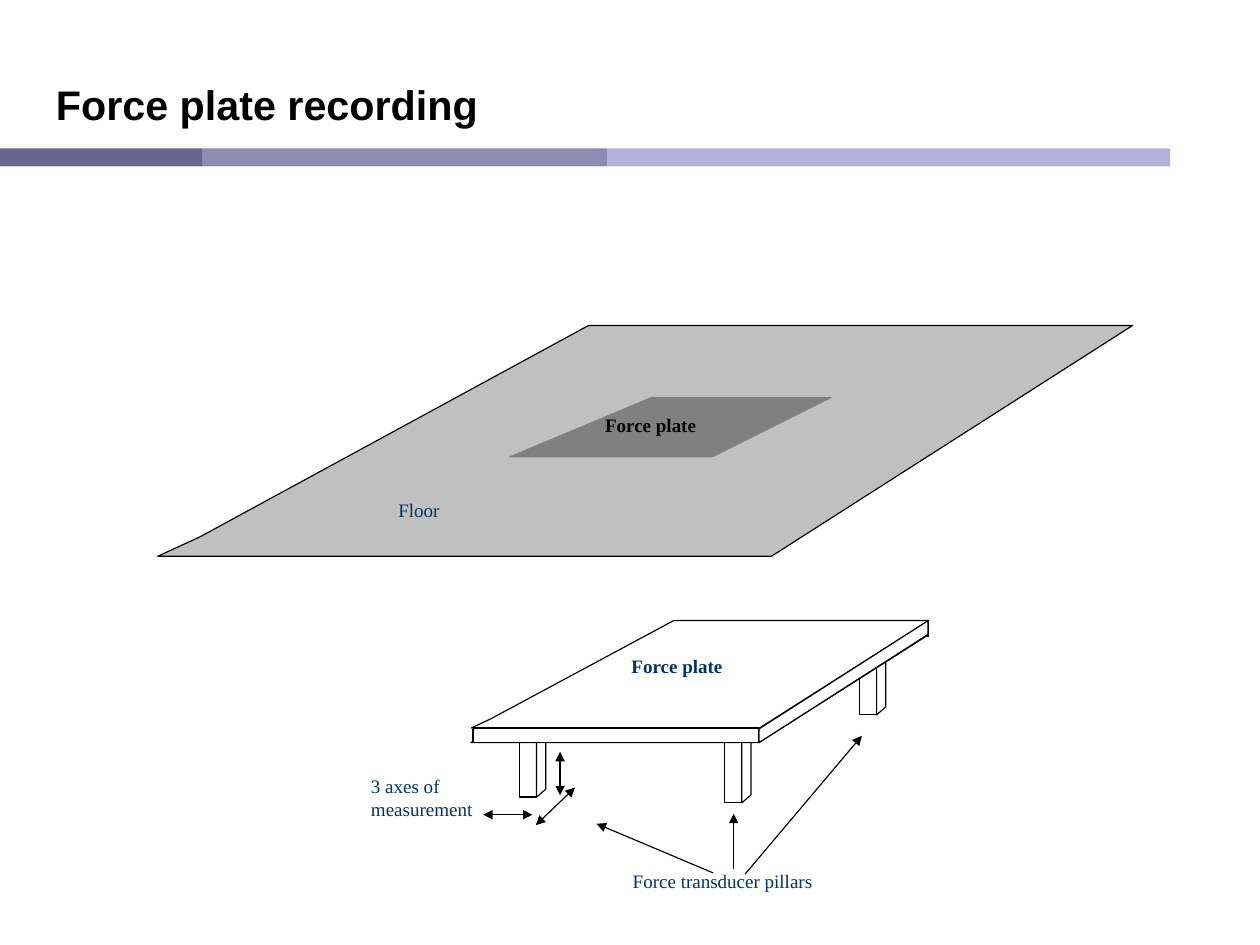
from lxml.etree import SubElement
from pptx import Presentation
from pptx.dml.color import RGBColor
from pptx.enum.shapes import MSO_CONNECTOR as CONN, MSO_SHAPE as SHAPE
from pptx.enum.text import MSO_ANCHOR as ANCHOR, MSO_AUTO_SIZE as AUTO, PP_ALIGN as ALIGN
from pptx.oxml.ns import qn
from pptx.util import Pt

COLORS = {
    "black": "000000", "white": "FFFFFF", "navy": "003366",
    "floor": "C0C0C0", "plate": "808080",
    "bar_dark": "333366", "bar_mid": "666699", "bar_light": "9999CC",
}


def rgb(name):
    return RGBColor.from_string(COLORS[name])


def paint(sp, fill, line):
    sp.shadow.inherit = False
    sp.fill.solid()
    sp.fill.fore_color.rgb = rgb(fill)
    sp.line.color.rgb = rgb(line)
    sp.line.width = Pt(0.75)


def add_polygon(s, points, fill="white", line="black"):
    pts = [(Pt(x), Pt(y)) for x, y in points]
    builder = s.shapes.build_freeform(*pts[0])
    builder.add_line_segments(pts[1:], close=True)
    paint(builder.convert_to_shape(), fill, line)


def add_box(s, x, y, w, h):
    paint(s.shapes.add_shape(SHAPE.RECTANGLE, Pt(x), Pt(y), Pt(w), Pt(h)), "white", "black")


def add_line(s, x1, y1, x2, y2, color="black", width=0.75, alpha=None, ends=()):
    """Straight line; ends may hold headEnd (start) and tailEnd (finish)."""
    cn = s.shapes.add_connector(CONN.STRAIGHT, Pt(x1), Pt(y1), Pt(x2), Pt(y2))
    cn.line.color.rgb = rgb(color)
    cn.line.width = Pt(width)
    sp_pr = cn._element.spPr
    ln = sp_pr.find(qn("a:ln"))
    if alpha:
        SubElement(ln.find(".//" + qn("a:srgbClr")), qn("a:alpha"), val=str(alpha * 1000))
    for end in ends:
        SubElement(ln, qn("a:" + end), type="triangle")
    SubElement(sp_pr, qn("a:effectLst"))


def add_run(p, text, font, size, color, bold=False):
    r = p.add_run()
    r.text = text
    r.font.name, r.font.size, r.font.bold = font, Pt(size), bold
    r.font.color.rgb = rgb(color)


def add_label(s, text, x, y, w, h, color="navy", bold=False):
    tf = s.shapes.add_textbox(Pt(x), Pt(y), Pt(w), Pt(h)).text_frame
    tf.word_wrap = True
    add_run(tf.paragraphs[0], text, "Times New Roman", 12, color, bold)


def add_title(s, text):
    sp = s.shapes.title
    sp.left, sp.top, sp.width, sp.height = Pt(28), Pt(37.4), Pt(360), Pt(47.5)
    tf = sp.text_frame
    tf.word_wrap, tf.auto_size = True, AUTO.SHAPE_TO_FIT_TEXT
    tf.vertical_anchor = ANCHOR.BOTTOM
    p = tf.paragraphs[0]
    p.alignment, p.line_spacing = ALIGN.LEFT, 0.9
    add_run(p, text, "Arial", 26, "black", True)


def add_pillar(s, x, y):
    w, h, dx, dy = 10.8, 43.9, 5.8, 5
    add_box(s, x, y, w, h)
    add_polygon(s, [(x + w, y + h), (x + w + dx, y + h - dy), (x + w + dx, y - dy), (x + w, y)])


def add_slab(s, dx, dy):
    outline = [(308.9, 462.2), (424.1, 400.3), (584.6, 400.3), (478.1, 468), (296.6, 468)]
    add_polygon(s, [(x + dx, y + dy) for x, y in outline])


def main():
    prs = Presentation()
    prs.slide_width, prs.slide_height = Pt(793.7), Pt(595.28)
    s = prs.slides.add_slide(prs.slide_layouts[5])
    add_title(s, "Force plate recording")

    # Three-part rule under the title
    stops = [0, 127.4, 382.3, 737.1]
    for x1, x2, color in zip(stops, stops[1:], ("bar_dark", "bar_mid", "bar_light")):
        add_line(s, x1, 99.2, x2, 99.2, color, 11.34, alpha=75)

    # Floor with the embedded plate
    add_polygon(s, [(126, 338.2), (370.8, 205), (713.5, 205), (486, 350.4), (99.4, 350.4)],
                "floor")
    add_polygon(s, [(329.8, 284.2), (410.4, 250.4), (523.4, 250.4), (448.6, 287.8), (321.1, 287.8)],
                "plate", "plate")

    # Plate on its pillars
    for x, y in ((456.5, 461.8), (541.4, 406.4), (327.2, 458.2)):
        add_pillar(s, x, y)
    add_slab(s, 0, -0.2)
    add_slab(s, 0.4, -9.4)
    for x, y in ((478.1, 458.6), (297.7, 459.2), (584.6, 392)):
        add_line(s, x, y, x, y + 9)
    add_box(s, 298.1, 458.6, 180, 9.2)
    add_polygon(s, [(478.1, 467.8), (478.1, 459.2), (584.6, 391), (584.6, 399.6)])

    # Measurement axes
    for axis in ((337.5, 519.8, 362.2, 496.1), (352.8, 473.6, 352.8, 501),
                 (304.4, 513.2, 335.5, 513.2)):
        add_line(s, *axis, ends=("headEnd", "tailEnd"))

    # Arrows to the pillars
    for arrow in ((462.2, 547.2, 462.2, 512.6), (469.4, 550.6, 542.9, 463.5),
                  (449.3, 549.9, 375.8, 518.9)):
        add_line(s, *arrow, ends=("tailEnd",))

    # Labels
    add_label(s, "Floor", 243.8, 310.2, 75.6, 24.5)
    add_label(s, "Force plate", 374.1, 256.9, 96.5, 25.9, "black", True)
    add_label(s, "Force plate", 390.7, 409, 96.5, 25.9, bold=True)
    add_label(s, "Force transducer pillars", 391.5, 544.3, 164.9, 25.9)
    add_label(s, "3 axes of measurement", 226.6, 484.4, 92.9, 49)

    prs.save("out.pptx")


if __name__ == "__main__":
    main()
